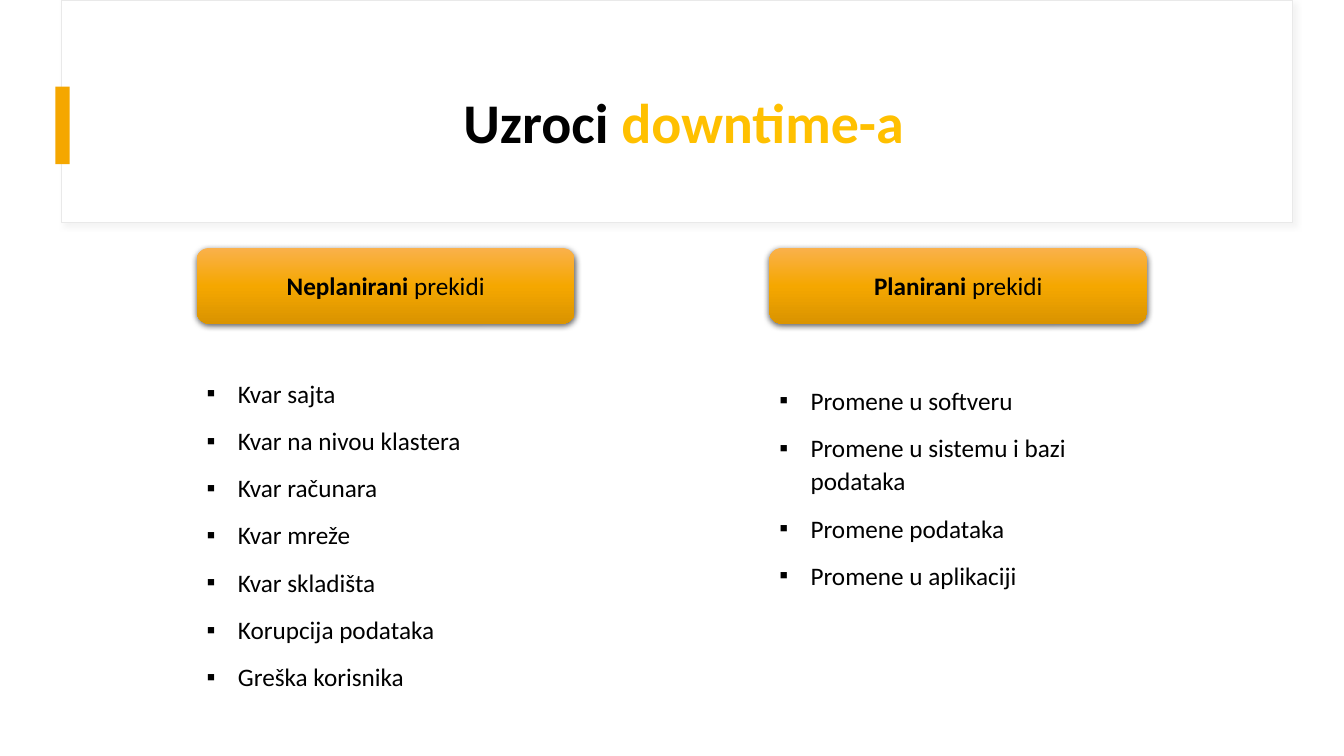
import pptx
import pptx.util
import pptx.dml.color
import pptx.enum.shapes
import pptx.enum.text
import pptx.oxml.ns
from lxml import etree

PX = 9144  # EMU: 100 px to the inch
FONT = "Calibri"
COLORS = {
    "white": "FFFFFF", "black": "000000", "edge": "E9E9E9", "haze": "D9D9D9",
    "amber": "F5A700", "light": "FAB14B", "dark": "DA9400", "gold": "FFC000",
}
CAUSES = [
    (195, 367, "Neplanirani", [
        "Kvar sajta", "Kvar na nivou klastera", "Kvar računara", "Kvar mreže",
        "Kvar skladišta", "Korupcija podataka", "Greška korisnika"]),
    (763, 374, "Planirani", [
        "Promene u softveru", "Promene u sistemu i bazi podataka",
        "Promene podataka", "Promene u aplikaciji"]),
]
SHAPE = pptx.enum.shapes.MSO_SHAPE
ALIGN = pptx.enum.text.PP_ALIGN
ANCHOR = pptx.enum.text.MSO_ANCHOR


def rgb(name):
    return pptx.dml.color.RGBColor.from_string(COLORS[name])


def node(parent, tag, **attrs):
    item = etree.SubElement(parent, pptx.oxml.ns.qn(tag))
    for key, value in attrs.items():
        item.set(key, str(value))
    return item


def place(shape, left, top, width, height):
    shape.left, shape.top = left * PX, top * PX
    shape.width, shape.height = width * PX, height * PX


def write(para, text, size=18, color="black", bold=False):
    run = para.add_run()
    run.text = text
    font = run.font
    font.name, font.size, font.bold = FONT, pptx.util.Pt(size), bold
    font.color.rgb = rgb(color)


def add_box(slide, kind, box, fill=None, line=None):
    shape = slide.shapes.add_shape(kind, *(n * PX for n in box))
    shape.shadow.inherit = False
    if fill:
        shape.fill.solid()
        shape.fill.fore_color.rgb = rgb(fill)
    if line:
        shape.line.color.rgb = rgb(line)
        shape.line.width = pptx.util.Pt(0.75)
    else:
        shape.line.fill.background()
    return shape


def add_shade(shape, color, alpha, blur, dist, angle):
    effects = shape.element.spPr.find(pptx.oxml.ns.qn("a:effectLst"))
    shade = node(effects, "a:outerShdw", blurRad=pptx.util.Pt(blur),
                 dist=pptx.util.Pt(dist), dir=angle * 60000, rotWithShape=0)
    tint = node(shade, "a:srgbClr", val=COLORS[color])
    node(tint, "a:alpha", val=alpha * 1000)


def blend(shape, names):
    """Fill from top to bottom with evenly spaced colours."""
    shape.fill.gradient()
    shape.fill.gradient_angle = 270
    stops = next(shape.element.spPr.iter(pptx.oxml.ns.qn("a:gsLst")))
    for stop in list(stops):
        stops.remove(stop)
    for i, name in enumerate(names):
        stop = node(stops, "a:gs", pos=i * 100000 // (len(names) - 1))
        node(stop, "a:srgbClr", val=COLORS[name])


def add_label(slide, left, word):
    label = add_box(slide, SHAPE.ROUNDED_RECTANGLE, (left, 246, 375, 75))
    blend(label, ["light", "amber", "dark"])
    add_shade(label, "black", 63, 4.5, 1.5, 90)
    frame = label.text_frame
    frame.vertical_anchor = ANCHOR.MIDDLE
    para = frame.paragraphs[0]
    para.alignment = ALIGN.CENTER
    write(para, word, bold=True)
    write(para, " prekidi")


def fill_list(holder, left, top, items):
    place(holder, left, top, 375, 323)
    frame = holder.text_frame
    frame.auto_size = pptx.enum.text.MSO_AUTO_SIZE.NONE
    for i, item in enumerate(items):
        para = frame.add_paragraph() if i else frame.paragraphs[0]
        para.line_spacing = 1.1
        para.space_before = pptx.util.Pt(10)
        props = para._p.get_or_add_pPr()
        props.set("marL", str(31 * PX))
        props.set("indent", str(-31 * PX))
        node(props, "a:buFont", typeface="Arial")
        node(props, "a:buChar", char="▪")
        write(para, item)


def fill_title(title):
    place(title, 122, 60, 1112, 129)
    frame = title.text_frame
    frame.auto_size = pptx.enum.text.MSO_AUTO_SIZE.NONE
    frame.vertical_anchor = ANCHOR.MIDDLE
    para = frame.paragraphs[0]
    para.alignment = ALIGN.CENTER
    para.line_spacing = 0.9
    write(para, "Uzroci ", size=40, bold=True)
    write(para, "downtime-a", size=40, color="gold", bold=True)


def main():
    deck = pptx.Presentation()
    deck.slide_width, deck.slide_height = 1333 * PX, 750 * PX
    slide = deck.slides.add_slide(deck.slide_layouts.get_by_name("Two Content"))
    title, *lists = slide.placeholders

    panel = add_box(slide, SHAPE.RECTANGLE, (61, 0, 1221, 221), "white", "edge")
    add_shade(panel, "haze", 30, 4, 3, 45)
    add_box(slide, SHAPE.RECTANGLE, (55, 86, 14, 77), "amber")

    fill_title(title)
    title.element.getparent().append(title.element)  # in front of the panel
    for holder, (left, top, word, items) in zip(lists, CAUSES):
        add_label(slide, left, word)
        fill_list(holder, left, top, items)
    deck.save("out.pptx")


if __name__ == "__main__":
    main()
